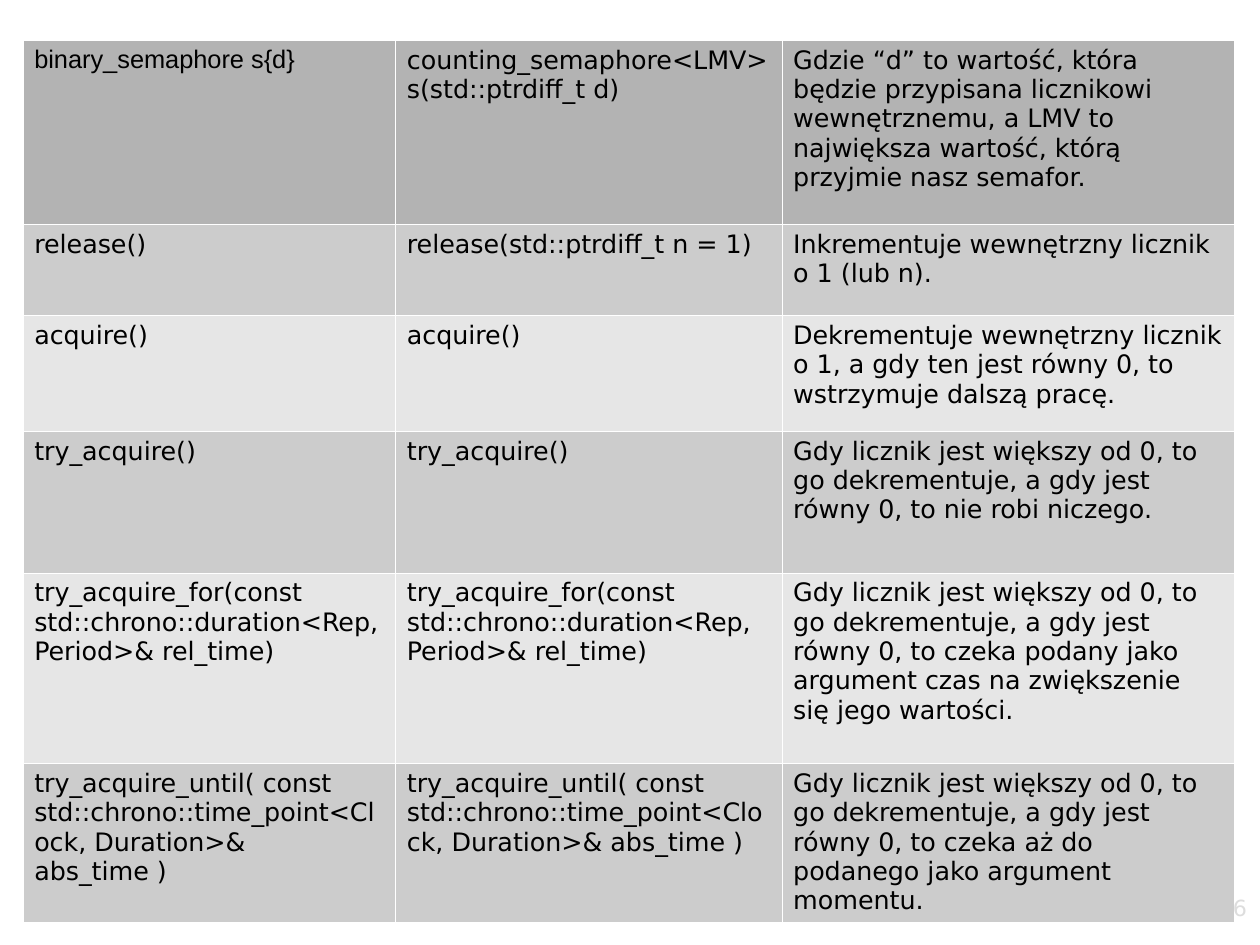
from lxml.etree import SubElement as Sub
from pptx import Presentation
from pptx.dml.color import RGBColor as Rgb
from pptx.enum.text import PP_ALIGN as Align
from pptx.oxml.ns import qn
from pptx.util import Cm, Inches, Pt

SANS = "DejaVu Sans"


def style(para, size, color, font=SANS):
    for run in para.runs:
        run.font.size = Pt(size)
        run.font.name = font
        run.font.color.rgb = Rgb.from_string(color)


def border(cell, color, width):
    props = cell._tc.get_or_add_tcPr()
    for side in ("lnL", "lnR", "lnT", "lnB"):
        line = Sub(props, qn(f"a:{side}"), w=str(Pt(width)))
        fill = Sub(line, qn("a:solidFill"))
        Sub(fill, qn("a:srgbClr"), val=color)


deck = Presentation()
deck.slide_width, deck.slide_height = Cm(28), Cm(21)
slide = deck.slides.add_slide(deck.slide_layouts[6])

# Semaphore operations: binary, counting, meaning
wait = "try_acquire_for(const std::chrono::duration<Rep, Period>& rel_time)"
until = "try_acquire_until( const std::chrono::time_point<Clock, Duration>& abs_time )"
test = "Gdy licznik jest większy od 0, to go dekrementuje, a gdy jest równy 0, to "
rows = [
    ("binary_semaphore s{d}", "counting_semaphore<LMV> s(std::ptrdiff_t d)",
     "Gdzie “d” to wartość, która będzie przypisana licznikowi wewnętrznemu, "
     "a LMV to największa wartość, którą przyjmie nasz semafor."),
    ("release()", "release(std::ptrdiff_t n = 1)",
     "Inkrementuje wewnętrzny licznik o 1 (lub n)."),
    ("acquire()", "acquire()",
     "Dekrementuje wewnętrzny licznik o 1, a gdy ten jest równy 0, "
     "to wstrzymuje dalszą pracę."),
    ("try_acquire()", "try_acquire()", test + "nie robi niczego."),
    (wait, wait, test + "czeka podany jako argument czas na zwiększenie się jego wartości."),
    (until, until, test + "czeka aż do podanego jako argument momentu."),
]
widths = [3.26, 3.38, 3.96]
heights = [1.61, 0.8, 1.01, 1.24, 1.67, 1.28]

# Table grid
frame = slide.shapes.add_table(
    len(rows), len(widths), Inches(0.2), Inches(0.35),
    Inches(sum(widths)), Inches(sum(heights)))
table = frame.table
for col, width in zip(table.columns, widths):
    col.width = Inches(width)
for row, height in zip(table.rows, heights):
    row.height = Inches(height)

# Cells: dark header, then alternating bands
table.first_row = table.horz_banding = False
for r, texts in enumerate(rows):
    band = "B3B3B3" if r == 0 else ("E6E6E6", "CCCCCC")[r % 2]
    for c, text in enumerate(texts):
        cell = table.cell(r, c)
        cell.text_frame.text = text
        style(cell.text_frame.paragraphs[0], 16, "000000",
              "Arial" if r == c == 0 else SANS)
        border(cell, "FFFFFF", 0.06)
        cell.fill.solid()
        cell.fill.fore_color.rgb = Rgb.from_string(band)

# Page number
box = slide.shapes.add_textbox(Inches(8.34), Inches(7.82), Inches(2.57), Inches(0.57))
page = box.text_frame
page.word_wrap = True
page.margin_left = page.margin_right = page.margin_top = page.margin_bottom = 0
page.text = "6"
page.paragraphs[0].alignment = Align.RIGHT
style(page.paragraphs[0], 14, "DDDDDD")

deck.save("out.pptx")
